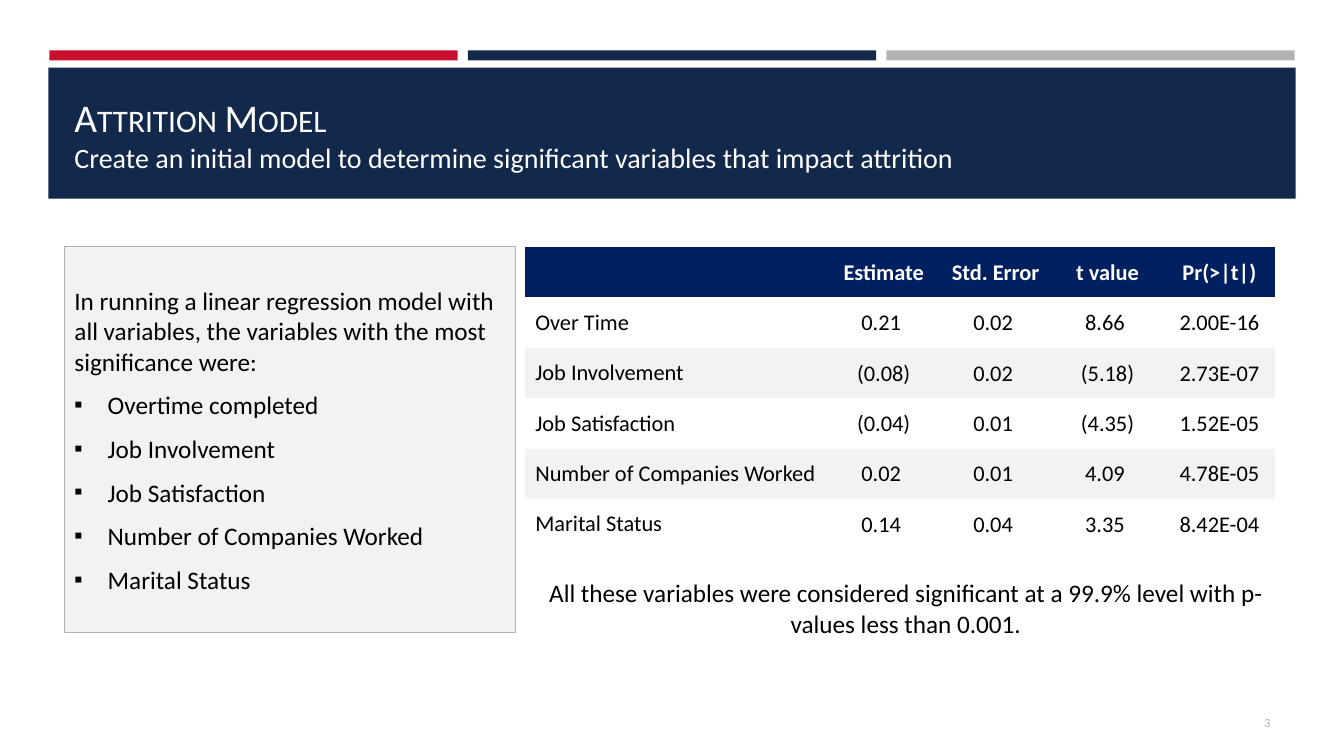
import pptx
import pptx.util
import pptx.dml.color
import pptx.enum.shapes
import pptx.enum.text
import pptx.oxml
import pptx.oxml.ns

Inches = pptx.util.Inches
Pt = pptx.util.Pt
ALIGN = pptx.enum.text.PP_ALIGN
MIDDLE = pptx.enum.text.MSO_ANCHOR.MIDDLE
NAVY, RED, GRAY, PALE = "13294B", "C8102E", "B1B3B3", "F2F2F2"
HEADER, WHITE, BLACK = "002060", "FFFFFF", "000000"
NO_STYLE = "{2D5ABB26-0587-4C30-8999-92F81FD0307C}"

FACTORS = ["Overtime completed", "Job Involvement", "Job Satisfaction",
           "Number of Companies Worked", "Marital Status"]
RESULTS = [
    ["", "Estimate", "Std. Error", "t value", "Pr(>|t|)"],
    ["Over Time", "0.21 ", "0.02 ", "8.66 ", "2.00E-16"],
    ["Job Involvement", "(0.08)", "0.02 ", "(5.18)", "2.73E-07"],
    ["Job Satisfaction", "(0.04)", "0.01 ", "(4.35)", "1.52E-05"],
    ["Number of Companies Worked", "0.02 ", "0.01 ", "4.09 ", "4.78E-05"],
    ["Marital Status", "0.14 ", "0.04 ", "3.35 ", "8.42E-04"],
]


def color(code):
    """Turn a hex string into a colour."""
    return pptx.dml.color.RGBColor.from_string(code)


def add_run(para, text, size, code=BLACK, bold=False):
    """Add one styled run to a paragraph."""
    run = para.add_run()
    run.text = text
    run.font.name = "Calibri"
    run.font.size = Pt(size)
    run.font.bold = bold
    run.font.color.rgb = color(code)
    return run


def add_box(slide, left, top, width, height, fill, line=None):
    """Add a flat rectangle."""
    box = slide.shapes.add_shape(
        pptx.enum.shapes.MSO_SHAPE.RECTANGLE,
        Inches(left), Inches(top), Inches(width), Inches(height))
    box.shadow.inherit = False
    box.fill.solid()
    box.fill.fore_color.rgb = color(fill)
    if line:
        box.line.color.rgb = color(line)
        box.line.width = Pt(0.75)
    else:
        box.line.fill.background()
    return box


def set_frame(shape):
    """Make a shape's text wrap and sit in the middle."""
    frame = shape.text_frame
    frame.word_wrap = True
    frame.vertical_anchor = MIDDLE
    return frame


def add_text(slide, left, top, width, height, align=ALIGN.LEFT):
    """Add a text box and return its first paragraph."""
    box = slide.shapes.add_textbox(
        Inches(left), Inches(top), Inches(width), Inches(height))
    para = set_frame(box).paragraphs[0]
    para.alignment = align
    return para


def set_gaps(para):
    """Give a body paragraph its spacing."""
    para.space_before = Pt(3.6)
    para.space_after = Pt(6)


def add_bullet(para):
    """Give a paragraph a small square bullet."""
    props = para._p.get_or_add_pPr()
    props.set("marL", str(Inches(0.33)))
    props.set("indent", str(-Inches(0.33)))
    space = pptx.oxml.ns.nsdecls("a")
    for mark in (f'<a:buClr {space}><a:srgbClr val="{BLACK}"/></a:buClr>',
                 f'<a:buSzPct {space} val="92000"/>',
                 f'<a:buFont {space} typeface="Calibri"/>',
                 f'<a:buChar {space} char="▪"/>'):
        props.append(pptx.oxml.parse_xml(mark))


def add_header(slide):
    """Draw the three strips, the band and the title."""
    for i, code in enumerate((RED, NAVY, GRAY)):
        add_box(slide, 0.49 + 4.15 * i, 0.5, 4.05, 0.1, code)
    add_box(slide, 0.48, 0.67, 12.37, 1.3, NAVY)
    para = add_text(slide, 0.64, 0.77, 12.06, 1.11)
    title = add_run(para, "Attrition Model", 28, WHITE)
    title.font._element.set("cap", "small")
    para.add_line_break()
    add_run(para, "Create an initial model to determine significant "
            "variables that impact attrition", 20, WHITE)


def add_panel(slide):
    """Draw the panel that lists the significant variables."""
    frame = set_frame(add_box(slide, 0.64, 2.45, 4.47, 3.83, PALE, GRAY))
    lead = ("In running a linear regression model with all variables, "
            "the variables with the most significance were:")
    for i, text in enumerate([lead] + FACTORS):
        para = frame.add_paragraph() if i else frame.paragraphs[0]
        para.alignment = ALIGN.LEFT
        set_gaps(para)
        if i:
            add_bullet(para)
        add_run(para, text, 18)


def fill_cell(cell, text, row, col):
    """Style one table cell and write its text."""
    fill = HEADER if row == 0 else PALE if row % 2 == 0 else None
    if fill:
        cell.fill.solid()
        cell.fill.fore_color.rgb = color(fill)
    else:
        cell.fill.background()
    cell.vertical_anchor = MIDDLE
    para = cell.text_frame.paragraphs[0]
    if col:
        cell.margin_left = cell.margin_right = cell.margin_top = Inches(0.01)
        cell.margin_bottom = 0
        para.alignment = ALIGN.CENTER
    if text:
        add_run(para, text, 16, BLACK if row else WHITE, row == 0)


def add_results(slide):
    """Draw the table of model results."""
    frame = slide.shapes.add_table(
        len(RESULTS), len(RESULTS[0]),
        Inches(5.21), Inches(2.45), Inches(7.43), Inches(3))
    table = frame.table
    table._tbl.tblPr.find(pptx.oxml.ns.qn("a:tableStyleId")).text = NO_STYLE
    for i, col in enumerate(table.columns):
        col.width = Inches(1.11 if i else 3)
    for i, row in enumerate(RESULTS):
        table.rows[i].height = Inches(0.5)
        for j, text in enumerate(row):
            fill_cell(table.cell(i, j), text, i, j)


def main():
    """Build the slide and save it."""
    deck = pptx.Presentation()
    deck.slide_width = Inches(13.33)
    deck.slide_height = Inches(7.5)
    slide = deck.slides.add_slide(deck.slide_layouts[6])
    add_header(slide)
    add_panel(slide)
    add_results(slide)
    note = add_text(slide, 5.27, 5.77, 7.43, 0.52, ALIGN.CENTER)
    set_gaps(note)
    add_run(note, "All these variables were considered significant at a "
            "99.9% level with p-values less than 0.001.", 18)
    page = add_text(slide, 11.55, 6.97, 1.15, 0.4, ALIGN.RIGHT)
    add_run(page, "3", 9, GRAY)
    deck.save("out.pptx")


main()
